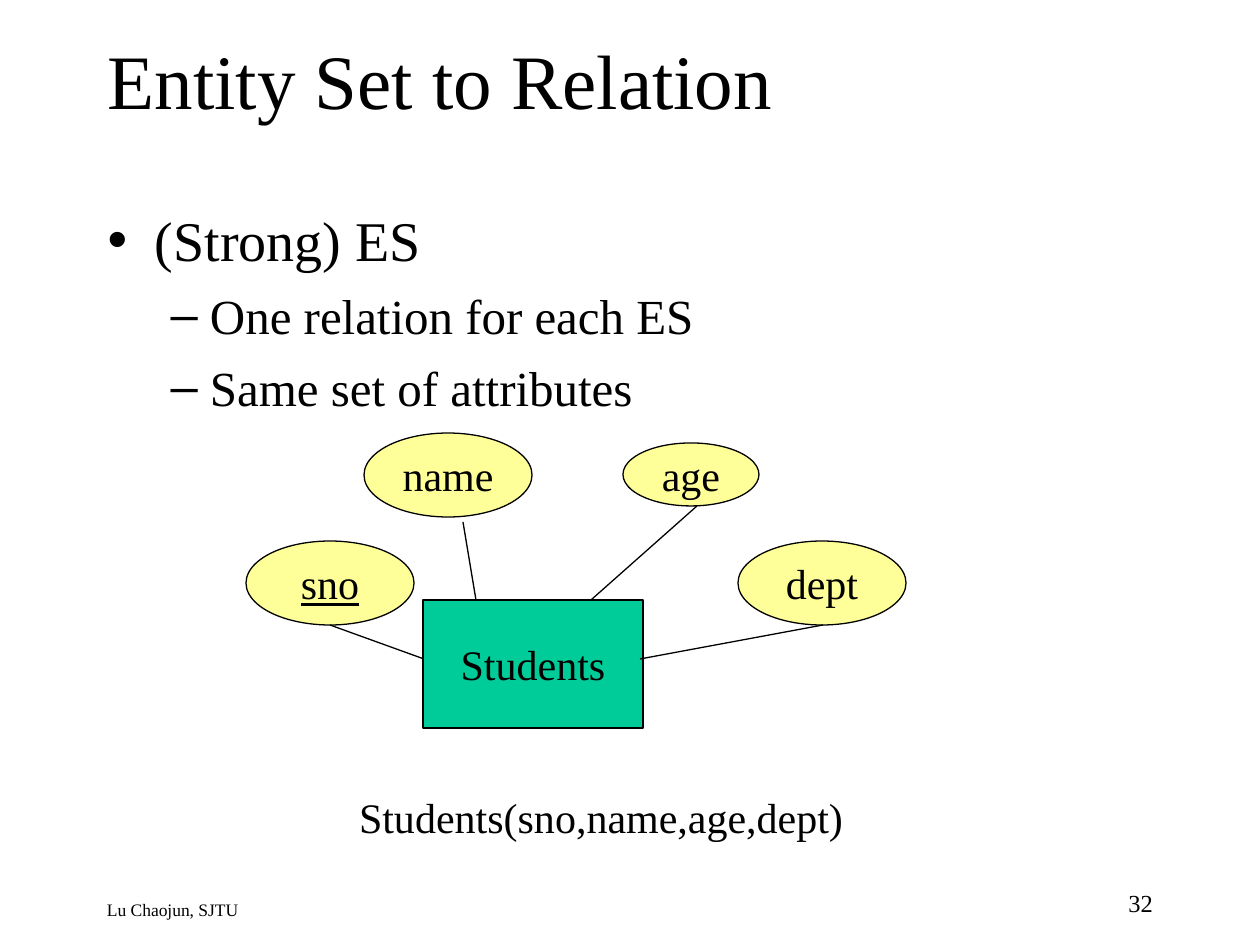
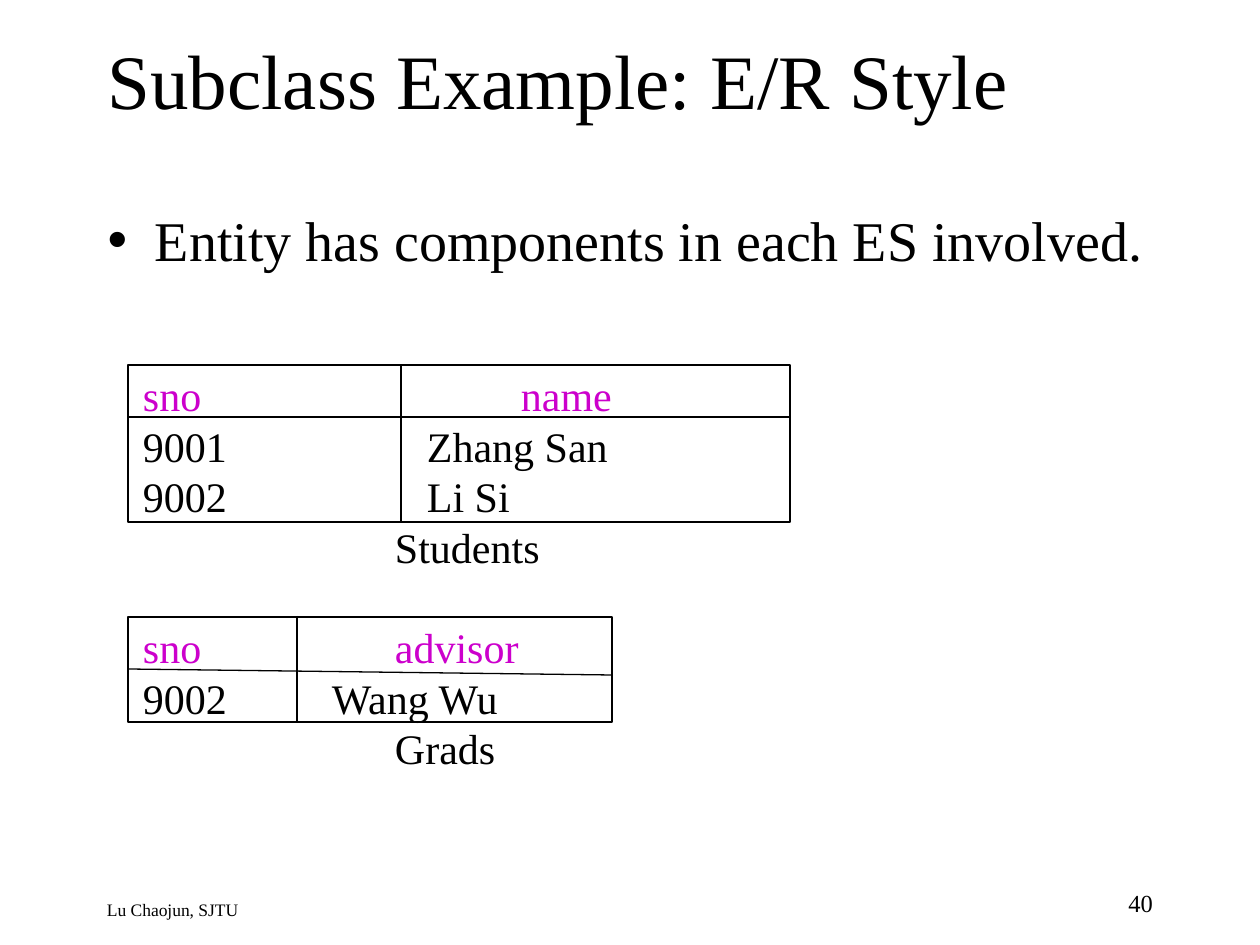
from lxml import etree
from pptx import Presentation
from pptx.dml.color import RGBColor
from pptx.enum import shapes, text
from pptx.oxml import ns
from pptx.util import Emu, Pt

FONT = "Times New Roman"
BLACK, GREEN, YELLOW, MAGENTA = "000000", "00CC99", "FFFF99", "CC00CC"
LINE_WIDTH = Pt(0.75)
FOOTER = "Lu Chaojun, SJTU"

# Boxes are left, top, width, height in px
TITLE_BOX = (95, 0, 1071, 157)
BODY_BOX = (95, 199, 1071, 640)
FOOTER_BOX = (95, 893, 731, 32)
NUMBER_BOX = (903, 882, 262, 42)

LEVEL_STYLES = [(32, 8), (28, 7.5)]  # size, space before

ENTITY_SET = {
    "number": "32",
    "title": "Entity Set to Relation",
    "bullets": [(0, "(Strong) ES"), (1, "One relation for each ES"),
                (1, "Same set of attributes")],
}
ENTITY = ("Students", (423, 600, 220, 128))
ATTRIBUTES = [  # name, is key, box, link start, link end
    ("name", False, (364, 433, 168, 84), (463, 522), (476, 600)),
    ("age", False, (623, 443, 136, 63), (697, 506), (591, 600)),
    ("sno", True, (246, 541, 168, 84), (330, 625), (424, 659)),
    ("dept", False, (738, 541, 168, 84), (823, 625), (640, 659)),
]
SCHEMA = ("Students(sno,name,age,dept)", (359, 792, 520, 52))

SUBCLASS = {
    "number": "40",
    "title": "Subclass Example: E/R Style",
    "bullets": [(0, "Entity has components in each ES involved.")],
}
RELATIONS_BOX = (131, 364, 494, 416)
CAPTION_TAB = 252
RELATIONS = [  # tabs are measured from the text's left edge
    {"name": "Students", "frame": (128, 365, 662, 157),
     "header": ("sno", "name"), "header_tab": 378,
     "rows": [("9001", "Zhang San"), ("9002", "Li Si")], "row_tab": 284,
     "rules": [((128, 417), (790, 417)), ((401, 365), (401, 522))]},
    {"name": "Grads", "frame": (128, 617, 484, 105),
     "header": ("sno", "advisor"), "header_tab": 252,
     "rows": [("9002", "Wang Wu")], "row_tab": 189,
     "rules": [((128, 669), (612, 675)), ((297, 616), (297, 721))]},
]


def px(*lengths):
    return [Emu(round(n * 914400 / 126)) for n in lengths]


def rgb(color):
    return RGBColor.from_string(color)


def style(paragraph, size, color=BLACK, align=None, underline=None):
    paragraph.alignment = align
    paragraph.line_spacing = Pt(size * 1.2)
    font = paragraph.font
    font.name, font.size, font.underline = FONT, Pt(size), underline
    font.color.rgb = rgb(color)


def add_text_frame(slide, box, inset=0):
    frame = slide.shapes.add_textbox(*px(*box)).text_frame
    frame.word_wrap = True
    frame.margin_left = frame.margin_right = px(inset)[0]
    frame.margin_top = frame.margin_bottom = px(inset / 2)[0]
    return frame


def add_label(slide, words, box, size, align=None, inset=0):
    frame = add_text_frame(slide, box, inset)
    frame.text = words
    style(frame.paragraphs[0], size, align=align)


def add_outlined(slide, kind, box, fill=None):
    shape = slide.shapes.add_shape(kind, *px(*box))
    shape.shadow.inherit = False
    if fill:
        shape.fill.solid()
        shape.fill.fore_color.rgb = rgb(fill)
    else:
        shape.fill.background()
    shape.line.color.rgb = rgb(BLACK)
    shape.line.width = LINE_WIDTH
    return shape


def add_node(slide, kind, words, box, fill, underline=None):
    frame = add_outlined(slide, kind, box, fill).text_frame
    frame.word_wrap = False
    frame.vertical_anchor = text.MSO_ANCHOR.MIDDLE
    frame.text = words
    style(frame.paragraphs[0], 24, align=text.PP_ALIGN.CENTER, underline=underline)


def add_line(slide, start, end):
    line = slide.shapes.add_connector(
        shapes.MSO_CONNECTOR.STRAIGHT, *px(*start, *end))
    line.line.color.rgb = rgb(BLACK)
    line.line.width = LINE_WIDTH
    etree.SubElement(line._element.spPr, ns.qn("a:effectLst"))


def add_tab(paragraph, position):
    properties = paragraph._p.get_or_add_pPr()
    tabs = etree.SubElement(properties, ns.qn("a:tabLst"))
    etree.SubElement(tabs, ns.qn("a:tab"), pos=str(px(position)[0]), algn="l")


def add_relations(slide):
    """Writes all relations as tabbed lines, then rules them."""
    lines = []  # cells, tab, colour, space before
    for i, relation in enumerate(RELATIONS):
        lines.append((relation["header"], relation["header_tab"], MAGENTA,
                      28.8 if i else 0))
        lines += [(row, relation["row_tab"], BLACK, 0) for row in relation["rows"]]
        lines.append((("", relation["name"]), CAPTION_TAB, BLACK, 0))

    frame = add_text_frame(slide, RELATIONS_BOX, inset=12)
    frame.text = "\n".join("\t".join(cells) for cells, *_ in lines)
    for paragraph, (_, tab, color, space) in zip(frame.paragraphs, lines):
        add_tab(paragraph, tab)
        paragraph.space_before = Pt(space)
        style(paragraph, 24, color)

    for relation in RELATIONS:
        add_outlined(slide, shapes.MSO_SHAPE.RECTANGLE, relation["frame"])
        for start, end in relation["rules"]:
            add_line(slide, start, end)


def place(placeholder, box, anchor):
    """Moves a placeholder and returns its text frame."""
    (placeholder.left, placeholder.top,
     placeholder.width, placeholder.height) = px(*box)
    frame = placeholder.text_frame
    frame.auto_size = text.MSO_AUTO_SIZE.NONE
    frame.vertical_anchor = anchor
    return frame


def start_slide(deck, content):
    """Adds a slide with its title, bullets, footer and number."""
    slide = deck.slides.add_slide(deck.slide_layouts[1])
    title = place(slide.shapes.title, TITLE_BOX, text.MSO_ANCHOR.MIDDLE)
    title.text = content["title"]
    style(title.paragraphs[0], 44, align=text.PP_ALIGN.LEFT)

    body = place(slide.placeholders[1], BODY_BOX, text.MSO_ANCHOR.TOP)
    body.text = "\n".join(words for _, words in content["bullets"])
    for i, (level, _) in enumerate(content["bullets"]):
        paragraph = body.paragraphs[i]
        size, space = LEVEL_STYLES[level]
        paragraph.level = level
        paragraph.space_before = Pt(space if i else 0)
        style(paragraph, size)

    add_label(slide, FOOTER, FOOTER_BOX, 10, inset=12)
    add_label(slide, content["number"], NUMBER_BOX, 14, text.PP_ALIGN.RIGHT, 12)
    return slide


def main():
    deck = Presentation()
    deck.slide_width, deck.slide_height = px(1260, 945)

    slide = start_slide(deck, ENTITY_SET)
    name, box = ENTITY
    add_node(slide, shapes.MSO_SHAPE.RECTANGLE, name, box, GREEN)
    for name, is_key, box, start, end in ATTRIBUTES:
        add_node(slide, shapes.MSO_SHAPE.OVAL, name, box, YELLOW, is_key or None)
        add_line(slide, start, end)
    add_label(slide, *SCHEMA, 24)

    add_relations(start_slide(deck, SUBCLASS))

    deck.save("out.pptx")


if __name__ == "__main__":
    main()
